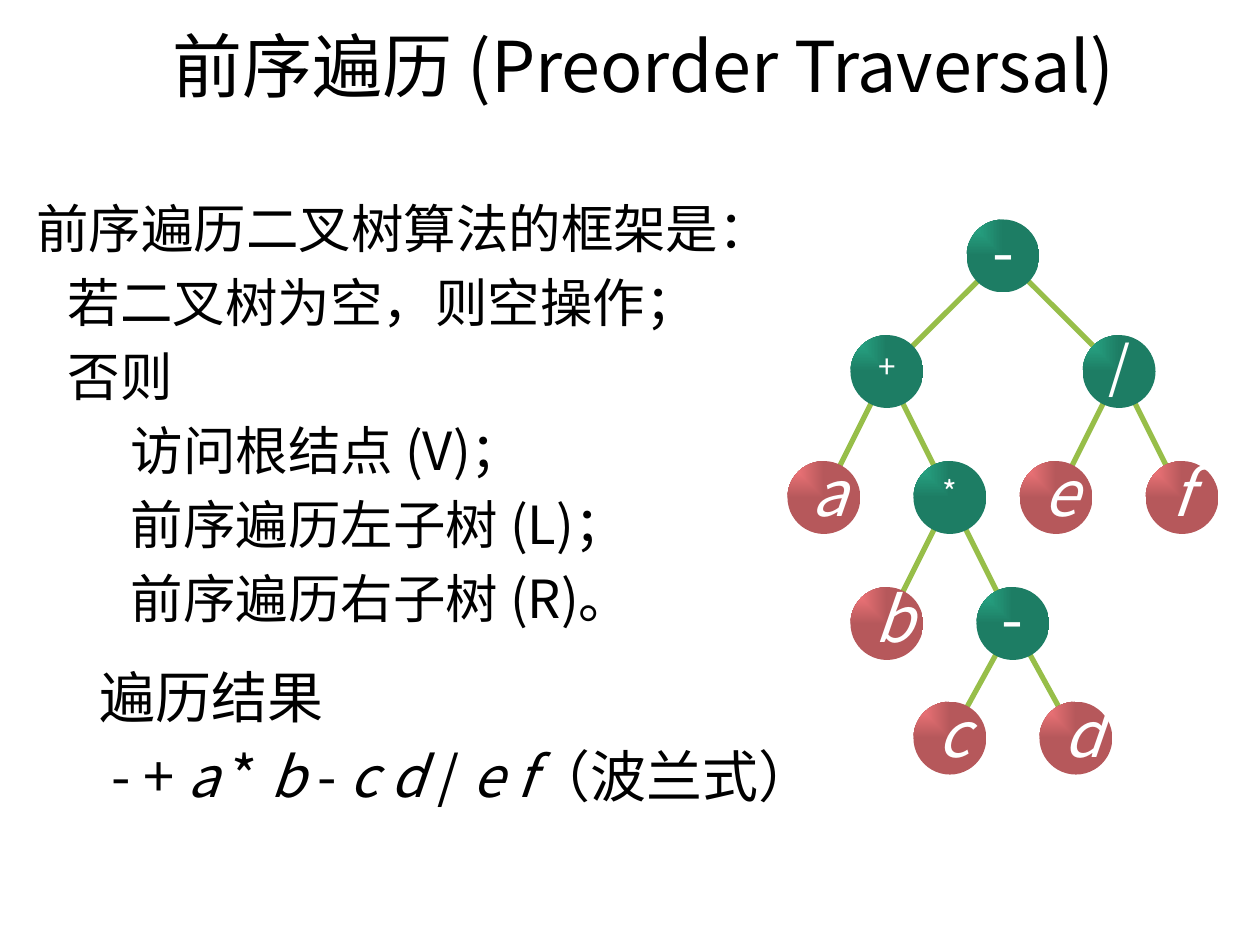
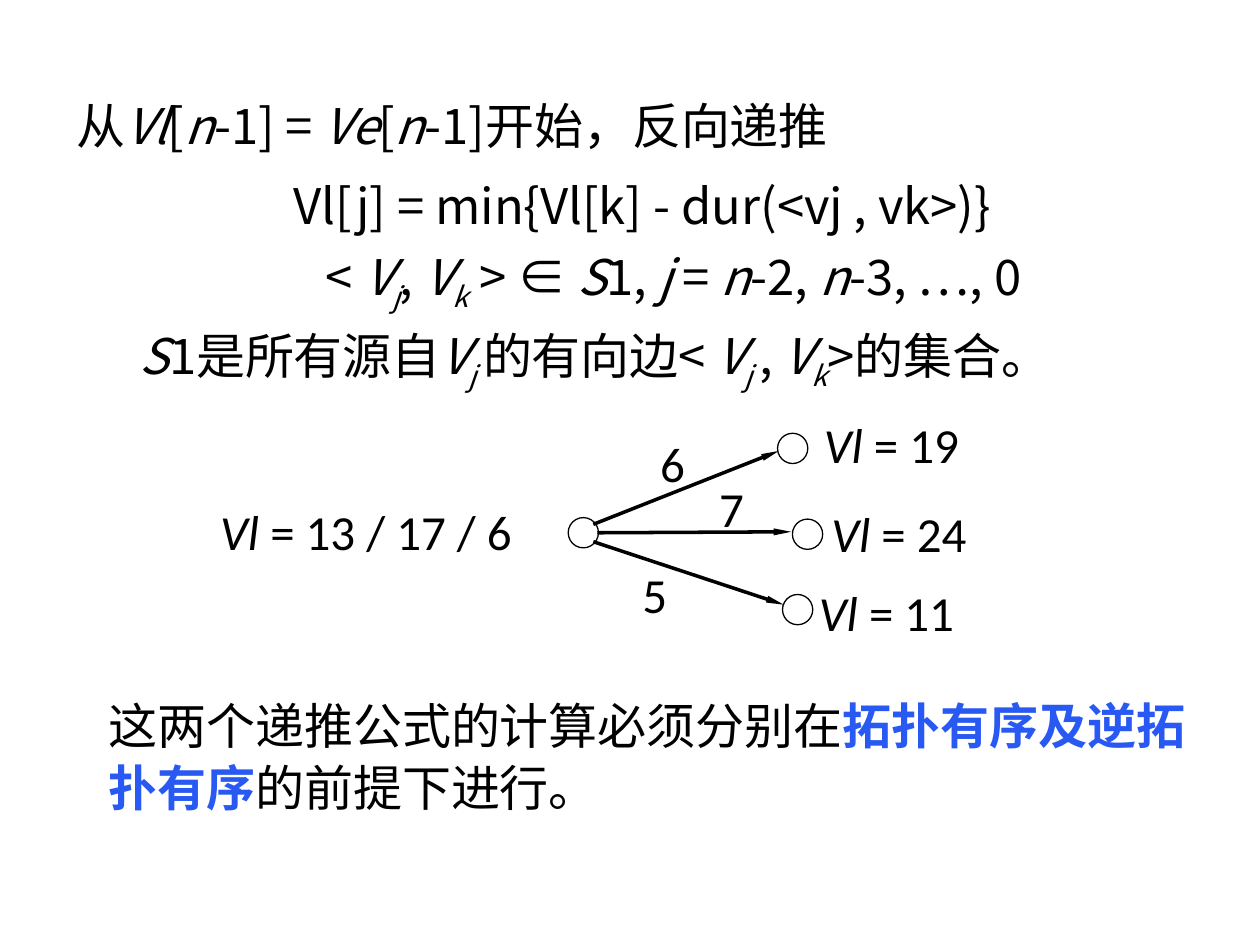
import math

import lxml.etree
import pptx
import pptx.dml.color
import pptx.enum.shapes
import pptx.enum.text
import pptx.oxml.ns
import pptx.util

Cm = pptx.util.Cm
Pt = pptx.util.Pt
qn = pptx.oxml.ns.qn
RGBColor = pptx.dml.color.RGBColor
ALIGN = pptx.enum.text.PP_ALIGN
OVAL = pptx.enum.shapes.MSO_SHAPE.OVAL
STRAIGHT = pptx.enum.shapes.MSO_CONNECTOR.STRAIGHT

BLACK = RGBColor(0x00, 0x00, 0x00)
WHITE = RGBColor(0xFF, 0xFF, 0xFF)
BLUE = RGBColor(0x29, 0x59, 0xF3)
GREEN = RGBColor(0x29, 0xAF, 0x8C)
RED = RGBColor(0xFF, 0x7C, 0x80)
BRANCH = RGBColor(0x97, 0xBE, 0x49)

CJK_FONT = "Noto Sans CJK JP"
LATIN_FONT = "Calibri"
ITALIC = {"italic": True}
BOLD = {"bold": True}


def write(paragraph, marked, size, face=CJK_FONT, color=BLACK,
          emphasis=ITALIC, emphasis_color=None):
    """Fill a paragraph; _ switches the emphasis on and off, ~ starts a subscript."""
    for index, piece in enumerate(marked.split("_")):
        emphasized = index % 2 == 1
        for part, text in enumerate(piece.split("~")):
            if not text:
                continue
            run = paragraph.add_run()
            run.text = text
            values = {"size": Pt(size), "name": face}
            if emphasized:
                values.update(emphasis)
            for name, value in values.items():
                setattr(run.font, name, value)
            run.font.color.rgb = emphasis_color if emphasized and emphasis_color else color
            properties = run.font._element
            lxml.etree.SubElement(properties, qn("a:ea")).set("typeface", face)
            if part:
                properties.set("baseline", "-25000")


def add_text(slide, left, top, width, height, lines, wrap=True, **look):
    """Add a text box; each line is (text, size, indents in cm, paragraph format)."""
    box = slide.shapes.add_textbox(Cm(left), Cm(top), Cm(width), Cm(height))
    frame = box.text_frame
    frame.word_wrap = wrap
    for index, (text, size, (margin, hanging), values) in enumerate(lines):
        paragraph = frame.add_paragraph() if index else frame.paragraphs[0]
        for name, value in values.items():
            setattr(paragraph, name, value)
        if margin:
            properties = paragraph._p.get_or_add_pPr()
            properties.set("marL", str(Cm(margin)))
            properties.set("indent", str(-Cm(hanging)))
        write(paragraph, text, size, **look)
    return frame


presentation = pptx.Presentation()
presentation.slide_width = Cm(25.4)
presentation.slide_height = Cm(19.05)

FLUSH = (0, 0)
INSET = (0.64, 0)
DEEP = (1.91, 0)
HANGING = (1.91, 0.64)

# Slide 1: preorder traversal
preorder = presentation.slides.add_slide(presentation.slide_layouts[5])
title = preorder.shapes.title
for name, value in {"left": 2.67, "top": 0.51, "width": 20.6, "height": 3.61}.items():
    setattr(title, name, Cm(value))
title.text_frame.auto_size = pptx.enum.text.MSO_AUTO_SIZE.NONE
title.text_frame.vertical_anchor = pptx.enum.text.MSO_ANCHOR.TOP
heading = title.text_frame.paragraphs[0]
heading.alignment = ALIGN.CENTER
heading.line_spacing = 0.9
write(heading, "前序遍历 (Preorder Traversal)", 40)

first = {"line_spacing": 1.05}
step = {"line_spacing": 1.05, "space_before": Pt(4.5)}
result = {"line_spacing": 1.05, "space_before": Pt(17.5)}
add_text(preorder, 0.48, 3.76, 16.38, 13.18, [
    ("前序遍历二叉树算法的框架是：", 30, FLUSH, first),
    ("若二叉树为空，则空操作；", 30, INSET, step),
    ("否则", 30, INSET, step),
    ("访问根结点 (V)；", 30, DEEP, step),
    ("前序遍历左子树 (L)；", 30, DEEP, step),
    ("前序遍历右子树 (R)。", 30, DEEP, step),
    ("遍历结果", 32, HANGING, result),
    (" - + _a_ * _b_ - _c d_ / _e f_（波兰式）", 32, HANGING, step),
])

# Each node: symbol, parent, centre across, depth
level_y = [5.16, 7.49, 10.03, 12.57, 14.88]
tree = {
    "root": ("-", None, 20.22, 0),
    "plus": ("+", "root", 17.88, 1),
    "divide": ("/", "root", 22.56, 1),
    "a": ("a", "plus", 16.61, 2),
    "times": ("*", "plus", 19.15, 2),
    "e": ("e", "divide", 21.29, 2),
    "f": ("f", "divide", 23.83, 2),
    "b": ("b", "times", 17.88, 3),
    "minus": ("-", "times", 20.42, 3),
    "c": ("c", "minus", 19.15, 4),
    "d": ("d", "minus", 21.69, 4),
}
symbol_sizes = {"/": 32, "+": 18, "*": 18}
node_size = 1.47
branch_trim = 0.5
label_width = 1.02
label_lift = 0.12

for symbol, parent, x, depth in tree.values():
    if parent is None:
        continue
    y = level_y[depth]
    parent_x, parent_y = tree[parent][2], level_y[tree[parent][3]]
    share = branch_trim / math.dist((x, y), (parent_x, parent_y))
    dx, dy = (x - parent_x) * share, (y - parent_y) * share
    branch = preorder.shapes.add_connector(
        STRAIGHT, Cm(parent_x + dx), Cm(parent_y + dy), Cm(x - dx), Cm(y - dy))
    branch.line.color.rgb = BRANCH
    branch.line.width = Pt(3)
    lxml.etree.SubElement(branch._element.spPr, qn("a:effectLst"))

for symbol, parent, x, depth in tree.values():
    node = preorder.shapes.add_shape(
        OVAL, Cm(x - node_size / 2), Cm(level_y[depth] - node_size / 2),
        Cm(node_size), Cm(node_size))
    node.shadow.inherit = False
    node.line.fill.background()
    node.fill.gradient()
    for stop in node.fill.gradient_stops:
        stop.color.rgb = RED if symbol.isalpha() else GREEN
    gradient = node._element.spPr.find(qn("a:gradFill"))
    edge_color = gradient.findall(".//" + qn("a:srgbClr"))[-1]
    lxml.etree.SubElement(edge_color, qn("a:shade")).set("val", "46275")
    gradient.remove(gradient.find(qn("a:lin")))
    spread = lxml.etree.SubElement(gradient, qn("a:path"))
    spread.set("path", "rect")
    corner = lxml.etree.SubElement(spread, qn("a:fillToRect"))
    corner.set("r", "100000")
    corner.set("b", "100000")

for symbol, parent, x, depth in tree.values():
    size = symbol_sizes.get(symbol, 36)
    label_height = 0.25 + size * 0.043
    label = add_text(
        preorder, x - label_width / 2, level_y[depth] - label_lift - label_height / 2,
        label_width, label_height,
        [(f"_{symbol}_" if symbol.isalpha() else symbol, size, FLUSH,
          {"alignment": ALIGN.CENTER})],
        wrap=False, color=WHITE)
    label.vertical_anchor = pptx.enum.text.MSO_ANCHOR.MIDDLE
    label.auto_size = pptx.enum.text.MSO_AUTO_SIZE.SHAPE_TO_FIT_TEXT

# Slide 2: latest start times, worked backwards
latest = presentation.slides.add_slide(presentation.slide_layouts[6])
formula = {"line_spacing": 1.05, "space_before": Pt(10), "alignment": ALIGN.CENTER}
condition = {"line_spacing": 1.05, "space_before": Pt(5), "alignment": ALIGN.CENTER}
definition = {"line_spacing": 1.05, "space_before": Pt(5)}
recurrence = add_text(latest, 1.3, 1.75, 23.29, 14.78, [
    ("从_Vl_[_n_-1] = _Ve_[_n_-1]开始，反向递推", 28, FLUSH, first),
    ("Vl[j] = min{Vl[k] - dur(<vj , vk>)}", 28, FLUSH, formula),
    ("< _V~j_, _V~k_ > ∈ _S_1, _j_ = _n_-2, _n_-3, …, 0", 28, HANGING, condition),
    ("_S_1是所有源自_V~j _的有向边< _V~j _, _V~k_>的集合。", 28, HANGING, definition),
])
conclusion = recurrence.add_paragraph()
for name, value in {"line_spacing": 1.05, "space_before": Pt(172)}.items():
    setattr(conclusion, name, value)
conclusion._p.get_or_add_pPr().set("marL", str(Cm(INSET[0])))
write(conclusion, "这两个递推公式的计算必须分别在_拓扑有序及逆拓扑有序_的前提下进行。", 28,
      emphasis=BOLD, emphasis_color=BLUE)

# Each activity: arrow start, arrow end, event centre, duration and its place, Vl and its place
activities = [
    ((11.96, 10.57), (15.7, 9.09), (15.98, 9.04), "6", (13.06, 8.61), "19", (16.36, 8.23)),
    ((12.04, 10.74), (15.95, 10.72), (16.28, 10.77), "7", (14.25, 9.53), "24", (16.51, 10.03)),
    ((11.96, 10.92), (15.8, 12.19), (16.08, 12.29), "5", (12.7, 11.25), "11", (16.26, 11.61)),
]
event_size = 0.61
source_event = (11.76, 10.74)

for x, y in [source_event] + [activity[2] for activity in activities]:
    event = latest.shapes.add_shape(
        OVAL, Cm(x - event_size / 2), Cm(y - event_size / 2), Cm(event_size), Cm(event_size))
    event.shadow.inherit = False
    event.fill.solid()
    event.fill.fore_color.rgb = WHITE
    event.line.color.rgb = BLACK
    event.line.width = Pt(0.75)

value_labels = [("_Vl _= 13 / 17 / 6", (4.19, 9.98), 7.26)]
for start, end, center, duration, duration_at, vl, vl_at in activities:
    arrow = latest.shapes.add_connector(STRAIGHT, *map(Cm, start + end))
    arrow.line.color.rgb = BLACK
    arrow.line.width = Pt(2)
    head = lxml.etree.SubElement(arrow.line._get_or_add_ln(), qn("a:tailEnd"))
    for name, value in {"type": "triangle", "w": "sm", "len": "lg"}.items():
        head.set(name, value)
    lxml.etree.SubElement(arrow._element.spPr, qn("a:effectLst"))
    value_labels += [(duration, duration_at, 1.02), (f"_Vl _= {vl}", vl_at, 3.76)]

for text, (left, top), width in value_labels:
    add_text(latest, left, top, width, 1.45, [(text, 28, FLUSH, {})], face=LATIN_FONT)

presentation.save("out.pptx")
